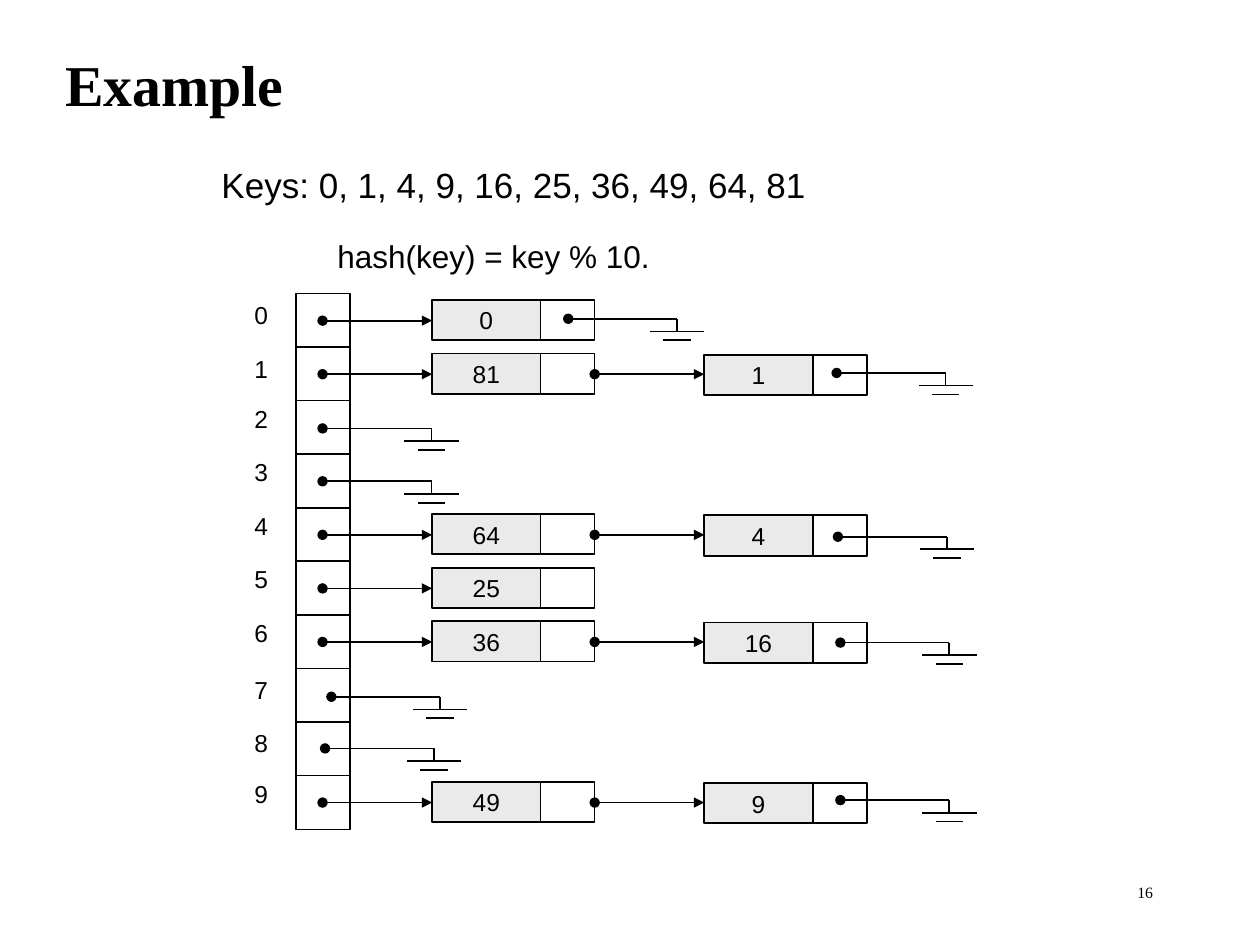
from lxml import etree
from pptx import Presentation
from pptx import util as u
from pptx.dml.color import RGBColor
from pptx.enum import shapes, text
from pptx.oxml.ns import qn

# Content
TITLE = "Example"
KEYS = "Keys: 0, 1, 4, 9, 16, 25, 36, 49, 64, 81"
HASH_RULE = "hash(key) = key % 10."
PAGE = "16"
# Each bucket: label top, chained keys, start of the line to the null symbol
BUCKETS = [
    (2.33, ["0"], (4.51, 2.53)),
    (2.76, ["81", "1"], (6.64, 2.96)),
    (3.16, [], (2.56, 3.40)),
    (3.58, [], (2.56, 3.82)),
    (4.01, ["64", "4"], (6.65, 4.26)),
    (4.43, ["25"], None),
    (4.86, ["36", "16"], (6.67, 5.10)),
    (5.31, [], (2.63, 5.53)),
    (5.73, [], (2.58, 5.94)),
    (6.13, ["49", "9"], (6.67, 6.35)),
]

THEME = {
    "ink": RGBColor(0, 0, 0),
    "cell": RGBColor(0xFF, 0xFF, 0xFF),
    "key": RGBColor(0xEA, 0xEA, 0xEA),
    "line": u.Pt(1),
    "title": {"name": "Times New Roman", "size": u.Pt(33), "bold": True},
    "page": {"name": "Times New Roman", "size": u.Pt(9)},
    "keys": {"name": "Arial", "size": u.Pt(20)},
    "rule": {"name": "Arial", "size": u.Pt(18)},
    "label": {"name": "Arial", "size": u.Pt(14)},
}

# Geometry in inches
ARRAY_LEFT, ARRAY_TOP, CELL, ROW_STEP = 2.35, 2.33, 0.43, 0.425
NODE_LEFT, NODE_STEP, KEY_WIDTH, NODE_HEIGHT = 3.43, 2.16, 0.86, 0.32
NODE_DROP, POINTER_DROP, POINTER_LENGTH = 0.05, 0.215, 0.87

MIDDLE = text.MSO_ANCHOR.MIDDLE
GROW = text.MSO_AUTO_SIZE.SHAPE_TO_FIT_TEXT
FIXED = text.MSO_AUTO_SIZE.NONE


def inches(*lengths):
    return [u.Inches(length) for length in lengths]


def apply(target, values):
    for name, value in values.items():
        setattr(target, name, value)


def write(holder, words, style, align=text.PP_ALIGN.LEFT, **frame_format):
    frame = holder.text_frame
    frame.text = words
    apply(frame, frame_format)
    paragraph = frame.paragraphs[0]
    paragraph.alignment = align
    apply(paragraph.runs[0].font, THEME[style])
    paragraph.runs[0].font.color.rgb = THEME["ink"]
    return paragraph


def add_box(parent, place, fill):
    box = parent.add_shape(shapes.MSO_SHAPE.RECTANGLE, *inches(*place))
    box.shadow.inherit = False
    box.fill.solid()
    box.fill.fore_color.rgb = THEME[fill]
    box.line.color.rgb = THEME["ink"]
    box.line.width = THEME["line"]
    return box


def add_line(parent, x1, y1, x2, y2, **ends):
    line = parent.add_connector(shapes.MSO_CONNECTOR.STRAIGHT, *inches(x1, y1, x2, y2))
    line.line.color.rgb = THEME["ink"]
    line.line.width = THEME["line"]
    properties = line._element.spPr
    outline = properties.find(qn("a:ln"))
    for end, kind in ends.items():
        etree.SubElement(outline, qn(f"a:{end}"), type=kind)
    etree.SubElement(properties, qn("a:effectLst"))


def add_pointer(parent, x, y):
    add_line(parent, x, y, x + POINTER_LENGTH, y, headEnd="oval", tailEnd="triangle")


def add_null(parent, x, y):
    stem, bar = x + 0.865, y + 0.10
    add_line(parent, x, y, stem, y, headEnd="oval")
    add_line(parent, stem, y, stem, bar)
    for half_width, drop in ((0.215, 0), (0.11, 0.07)):
        add_line(parent, stem - half_width, bar + drop, stem + half_width, bar + drop)


def add_bucket(parent, index, label_top, keys, null_start):
    top = ARRAY_TOP + index * ROW_STEP
    label = parent.add_textbox(*inches(1.92, label_top, 0.31, 0.34))
    write(label, str(index), "label", word_wrap=False, auto_size=GROW)
    add_box(parent, (ARRAY_LEFT, top, CELL, CELL), "cell")

    # Chained nodes, each reached by a pointer
    for position, key in enumerate(keys):
        left = NODE_LEFT + position * NODE_STEP
        node_top = top + NODE_DROP + 0.01 * position
        node = add_box(parent, (left, node_top, KEY_WIDTH, NODE_HEIGHT), "key")
        write(node, key, "label", text.PP_ALIGN.CENTER,
              word_wrap=False, vertical_anchor=MIDDLE)
        add_box(parent, (left + KEY_WIDTH, node_top, CELL, NODE_HEIGHT), "cell")
        add_pointer(parent, left - POINTER_LENGTH, top + POINTER_DROP)

    if null_start:
        add_null(parent, *null_start)


def main():
    deck = Presentation()
    deck.slide_width, deck.slide_height = inches(10, 7.5)
    slide = deck.slides.add_slide(deck.slide_layouts[5])

    # Title and page number
    title = slide.shapes.title
    apply(title, dict(zip(("left", "top", "width", "height"),
                          inches(0.42, -0.25, 8.73, 1.9))))
    heading = write(title, TITLE, "title", vertical_anchor=MIDDLE, auto_size=FIXED)
    heading.line_spacing = 0.9
    page = slide.shapes.add_textbox(*inches(7.17, 6.83, 2.08, 0.5))
    write(page, PAGE, "page", text.PP_ALIGN.RIGHT, word_wrap=True, vertical_anchor=MIDDLE)

    # Hash table with its chains
    hash_table = slide.shapes.add_group_shape().shapes
    for index, bucket in enumerate(BUCKETS):
        add_bucket(hash_table, index, *bucket)

    # Keys and hash function
    keys = slide.shapes.add_textbox(*inches(1.66, 1.25, 6.34, 0.44))
    write(keys, KEYS, "keys", word_wrap=True, auto_size=GROW)
    rule = slide.shapes.add_textbox(*inches(2.58, 1.83, 2.75, 0.4))
    write(rule, HASH_RULE, "rule", word_wrap=False, auto_size=GROW)

    deck.save("out.pptx")


if __name__ == "__main__":
    main()
